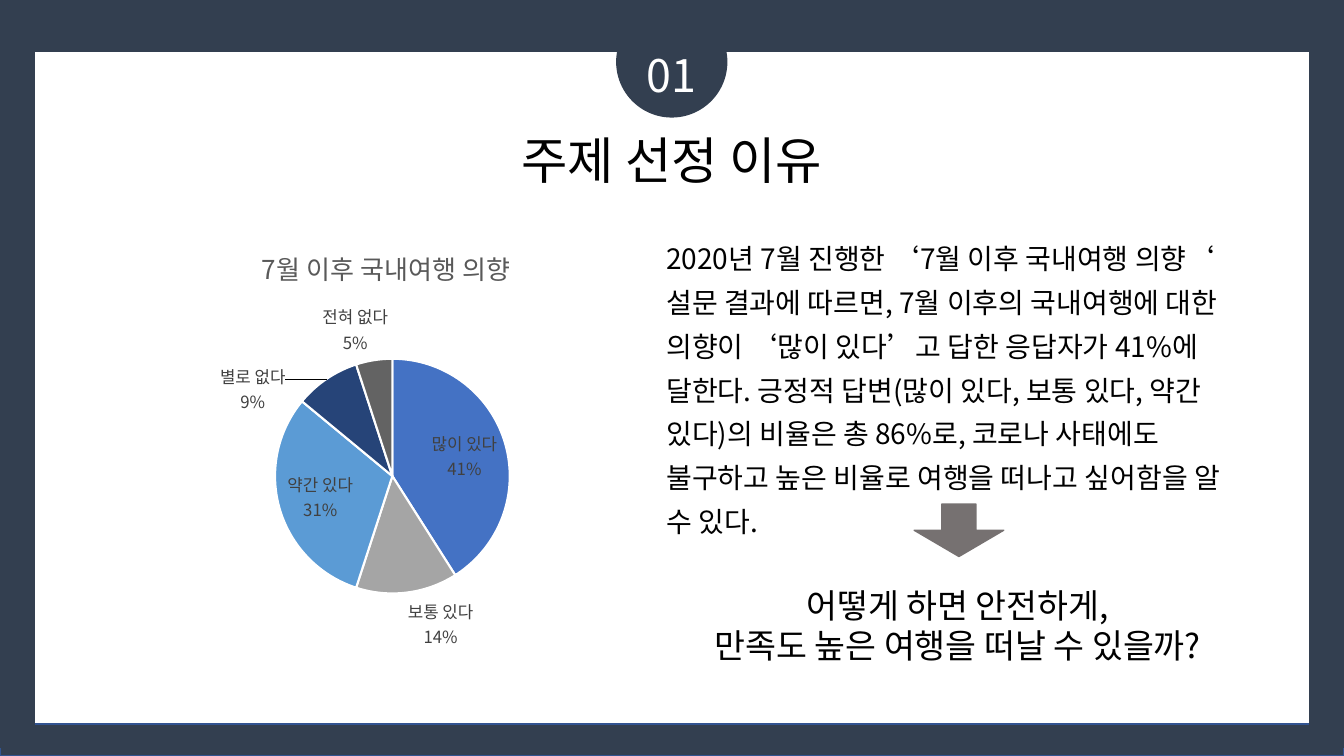
from lxml import etree
from pptx import Presentation
from pptx import util as u
from pptx.chart import data
from pptx.dml.color import RGBColor
from pptx.enum import chart as ch, shapes, text
from pptx.oxml import parse_xml
from pptx.oxml.ns import nsdecls, qn

FACE = "Noto Sans CJK KR"
HUES = {"navy": "333F50", "edge": "325491", "white": "FFFFFF",
        "black": "000000", "gray": "767171", "head": "595959",
        "label": "404040"}
SLICES = [("많이 있다", 41, "4472C4"), ("보통 있다", 14, "A5A5A5"),
          ("약간 있다", 31, "5B9BD5"), ("별로 없다", 9, "264478"),
          ("전혀 없다", 5, "636363")]


def style(font, size, hue):
    font.size = u.Pt(size)
    font.bold = False
    font.color.rgb = RGBColor.from_string(HUES[hue])
    font.name = FACE


def draw(kind, box, fill, line):
    item = slide.shapes.add_shape(kind, *map(u.Pt, box))
    item.shadow.inherit = False
    item.fill.solid()
    item.fill.fore_color.rgb = RGBColor.from_string(HUES[fill])
    item.line.color.rgb = RGBColor.from_string(HUES[line])
    item.line.width = u.Pt(1)
    return item


deck = Presentation()
deck.slide_width, deck.slide_height = u.Pt(960), u.Pt(540)
slide = deck.slides.add_slide(deck.slide_layouts[1])

# Title and body
title, body = slide.placeholders
title.left, title.top, title.width, title.height = map(u.Pt, (66, 77, 828, 78.5))
title.text_frame.text = "주제 선정 이유"
title.text_frame.vertical_anchor = text.MSO_ANCHOR.MIDDLE
para = title.text_frame.paragraphs[0]
para.alignment = text.PP_ALIGN.CENTER
para.line_spacing = 0.9
style(para.font, 36, "black")

body.left, body.top, body.width, body.height = map(u.Pt, (468.7, 162, 432.7, 203))
body.text_frame.text = (
    "2020년 7월 진행한 ‘7월 이후 국내여행 의향‘ 설문 결과에 따르면, "
    "7월 이후의 국내여행에 대한 의향이 ‘많이 있다’고 답한 응답자가 41%에 달한다. "
    "긍정적 답변(많이 있다, 보통 있다, 약간 있다)의 비율은 총 86%로, "
    "코로나 사태에도 불구하고 높은 비율로 여행을 떠나고 싶어함을 알 수 있다.")
body.text_frame.auto_size = text.MSO_AUTO_SIZE.NONE
para = body.text_frame.paragraphs[0]
para.line_spacing = 1.3
para.space_before = u.Pt(0)
props = para._p.get_or_add_pPr()
props.set("marL", "0")
props.set("indent", "0")
etree.SubElement(props, qn("a:buNone"))
style(para.font, 20, "black")

# Frame and number badge
for box, line in [((0, -1, 960, 37.5), "navy"), ((0, 517, 960, 23), "edge"),
                  ((0, 28, 24.5, 506), "navy"), ((935.5, 28, 24.5, 506), "navy")]:
    draw(shapes.MSO_SHAPE.RECTANGLE, box, "navy", line)
draw(shapes.MSO_SHAPE.OVAL, (440.6, 5, 78.5, 78.5), "navy", "navy")

# Pie chart
votes = data.CategoryChartData()
votes.categories = [name for name, _, _ in SLICES]
votes.add_series("Series 1", [count for _, count, _ in SLICES])
frame = slide.shapes.add_chart(ch.XL_CHART_TYPE.PIE,
                               *map(u.Pt, (12.2, 162.7, 535.7, 311.8)), votes)
chart = frame.chart
style(chart.font, 10, "black")
chart.has_legend = False
chart.has_title = True
chart.chart_title.text_frame.text = "7월 이후 국내여행 의향"
style(chart.chart_title.text_frame.paragraphs[0].font, 18.6, "head")
plot = chart.plots[0]
plot.vary_by_categories = True
pie = plot.series[0]
for spot, (_, _, hue) in enumerate(SLICES):
    part = pie.points[spot].format
    part.fill.solid()
    part.fill.fore_color.rgb = RGBColor.from_string(hue)
    part.line.color.rgb = RGBColor.from_string(HUES["white"])
    part.line.width = u.Pt(1.5)

# Slice labels, with the last two pulled aside
tags = pie.data_labels
tags.show_value = False
tags.show_category_name = tags.show_percentage = True
tags.position = ch.XL_LABEL_POSITION.BEST_FIT
style(tags.font, 12, "label")
for spot in (3, 4):
    aside = pie.points[spot].data_label
    aside.position = ch.XL_LABEL_POSITION.OUTSIDE_END
    style(aside.font, 12, "label")
root = chart.element
pulled = list(root.iter(qn("c:dLbl")))
for single in pulled:
    for key, flag in [("showVal", "0"), ("showCatName", "1"), ("showPercent", "1")]:
        single.find(qn("c:" + key)).set("val", flag)
for mark in list(root.iter(qn("c:showBubbleSize"))):
    gap = parse_xml(f"<c:separator {nsdecls('c')}>\n</c:separator>")
    mark.addnext(gap)

# Manual places of pie, title and pulled labels
area = root.find(".//" + qn("c:plotArea"))
head = root.find(".//" + qn("c:title"))
for host, prior, modes, place in [
        (area, None, {"layoutTarget": "inner", "xMode": "edge", "yMode": "edge"},
         {"x": 0.344, "y": 0.3, "w": 0.313, "h": 0.538}),
        (head, "c:tx", {"xMode": "edge", "yMode": "edge"}, {"x": 0.32, "y": 0.03}),
        (pulled[0], "c:idx", {}, {"x": -0.05, "y": 0.09}),
        (pulled[1], "c:idx", {}, {"x": 0.02, "y": 0})]:
    for old in host.findall(qn("c:layout")):
        host.remove(old)
    rows = "".join(f'<c:{key} val="{val}"/>' for key, val in {**modes, **place}.items())
    node = parse_xml(f"<c:layout {nsdecls('c')}><c:manualLayout>{rows}"
                     "</c:manualLayout></c:layout>")
    host.insert(0 if prior is None else host.index(host.find(qn(prior))) + 1, node)

# Arrow
arrow = draw(shapes.MSO_SHAPE.DOWN_ARROW, (653, 360, 64, 37.5), "gray", "gray")
arrow.adjustments[0], arrow.adjustments[1] = 0.38, 0.5

# Badge number and closing question
for box, words, size, hue in [
        ((447.8, 30.2, 64, 46), "01", 32, "white"),
        ((474.5, 414, 419, 65.5), "어떻게 하면 안전하게,\n만족도 높은 여행을 떠날 수 있을까?",
         24, "black")]:
    note = slide.shapes.add_textbox(*map(u.Pt, box)).text_frame
    note.word_wrap = True
    note.text = words
    for para in note.paragraphs:
        para.alignment = text.PP_ALIGN.CENTER
        style(para.font, size, hue)

deck.save("out.pptx")
